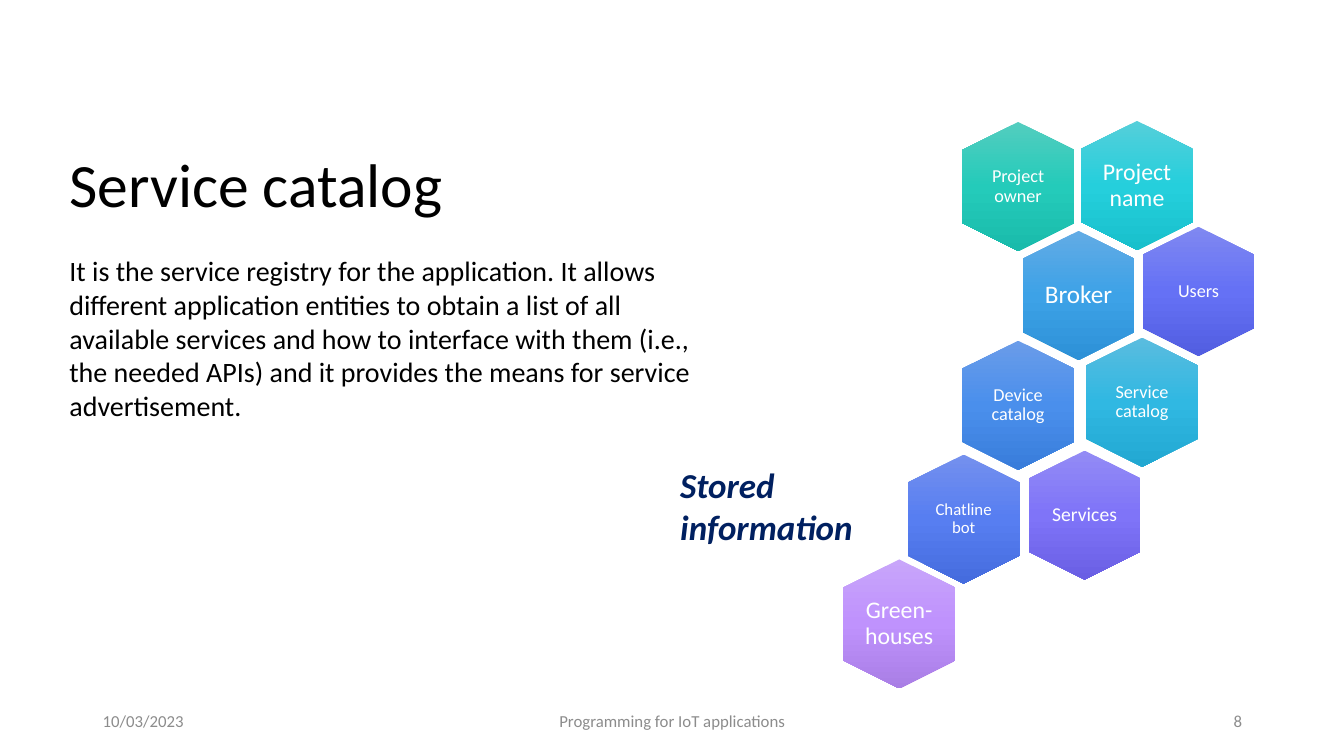
from dataclasses import dataclass

from lxml.etree import SubElement
from pptx import Presentation
from pptx.dml.color import RGBColor
from pptx.enum.shapes import MSO_SHAPE
from pptx.enum.text import MSO_ANCHOR, MSO_AUTO_SIZE, PP_ALIGN
from pptx.oxml.ns import qn
from pptx.util import Inches, Pt


@dataclass(frozen=True)
class Theme:
    font: str = "Calibri"
    ink: str = "000000"
    muted: str = "8C8C8C"
    accent: str = "002060"
    light: str = "FFFFFF"
    title: int = 44
    body: int = 20
    caption: int = 25
    footer: int = 12
    tight: float = 0.9


THEME = Theme()
CELL = 0.1
COLUMNS, ROWS = 133.33, 75
HEXAGON_LENGTH, HEXAGON_BREADTH = 12.8, 11.1
LABEL_WIDTH, LABEL_HEIGHT = 7.7, 8.8

HEXAGONS = [
    ("Project owner", 101, 18.5, 13, ("53CDBF", "24CBBA", "1ABBAB")),
    ("Project name", 112.8, 18.4, 17, ("55CFDA", "25CFDC", "18C0CC")),
    ("Service catalog", 113.3, 39.9, 13, ("5ABCDF", "30B8E2", "22A8D2")),
    ("Broker", 107, 29.3, 18, ("62ABE5", "3DA2E7", "2D91D7")),
    ("Device catalog", 101, 40.2, 13, ("6A9CE9", "4A8FEC", "397DDB")),
    ("Chatline bot", 95.6, 51.5, 12, ("7490EE", "577EF1", "456CDE")),
    ("Users", 118.9, 28.9, 13, ("7F88F1", "6571F5", "525EE1")),
    ("Services", 107.6, 51.1, 14, ("938BF5", "7F74F8", "6A5FE4")),
    ("Green-houses", 89.2, 61.9, 17, ("C8A5FA", "BF92FD", "A97EE5")),
]

FOOTERS = [
    ("10/03/2023", 9.2, 30, PP_ALIGN.LEFT),
    ("Programming for IoT applications", 44.2, 45, PP_ALIGN.CENTER),
    ("8", 94.2, 30, PP_ALIGN.RIGHT),
]


def cells(*counts):
    return [Inches(count * CELL) for count in counts]


def apply_format(target, values):
    for name, value in values.items():
        setattr(target, name, value)


def add_text(slide, text, area, size, color, frame=None, paragraph=None, font=None):
    text_frame = slide.shapes.add_textbox(*cells(*area)).text_frame
    apply_format(text_frame, {"word_wrap": True, **(frame or {})})
    text_paragraph = text_frame.paragraphs[0]
    apply_format(text_paragraph, paragraph or {})
    run = text_paragraph.add_run()
    run.text = text
    apply_format(run.font, {"name": THEME.font, "size": Pt(size), **(font or {})})
    run.font.color.rgb = RGBColor.from_string(color)


def fill_downward(shape, colors):
    shape.fill.gradient()
    gradient = shape.fill._xPr.find(qn("a:gradFill"))
    gradient.set("rotWithShape", "0")
    stops = gradient.find(qn("a:gsLst"))
    for stop in list(stops):
        stops.remove(stop)
    for index, color in enumerate(colors):
        stop = SubElement(stops, qn("a:gs"), pos=str(index * 50000))
        SubElement(stop, qn("a:srgbClr"), val=color)
    gradient.find(qn("a:lin")).set("ang", "5400000")


def add_hexagon(slide, text, column, row, size, colors):
    left, top = column - HEXAGON_LENGTH / 2, row - HEXAGON_BREADTH / 2
    hexagon = slide.shapes.add_shape(
        MSO_SHAPE.HEXAGON, *cells(left, top, HEXAGON_LENGTH, HEXAGON_BREADTH)
    )
    hexagon.rotation = 90
    hexagon.adjustments[0] = 0.25
    hexagon.adjustments[1] = 1.1547
    hexagon.shadow.inherit = False
    hexagon.line.fill.background()
    fill_downward(hexagon, colors)
    margins = dict.fromkeys(
        ("margin_left", "margin_top", "margin_right", "margin_bottom"), 0
    )
    add_text(
        slide,
        text,
        (column - LABEL_WIDTH / 2, row - LABEL_HEIGHT / 2, LABEL_WIDTH, LABEL_HEIGHT),
        size,
        THEME.light,
        frame={"vertical_anchor": MSO_ANCHOR.MIDDLE, **margins},
        paragraph={"alignment": PP_ALIGN.CENTER, "line_spacing": THEME.tight},
    )


def add_footer(slide, text, left, width, alignment):
    add_text(
        slide,
        text,
        (left, 69.5, width, 4),
        THEME.footer,
        THEME.muted,
        frame={"vertical_anchor": MSO_ANCHOR.MIDDLE},
        paragraph={"alignment": alignment},
    )


def main():
    presentation = Presentation()
    width, height = cells(COLUMNS, ROWS)
    apply_format(presentation, {"slide_width": width, "slide_height": height})
    slide = presentation.slides.add_slide(presentation.slide_layouts[6])

    add_text(
        slide,
        "Service catalog",
        (5.9, 11.4, 63.5, 14.5),
        THEME.title,
        THEME.ink,
        frame={"vertical_anchor": MSO_ANCHOR.MIDDLE},
        paragraph={"line_spacing": THEME.tight},
    )
    for footer in FOOTERS:
        add_footer(slide, *footer)
    for hexagon in HEXAGONS:
        add_hexagon(slide, *hexagon)
    add_text(
        slide,
        "Stored information",
        (66.5, 45.5, 22.7, 9.4),
        THEME.caption,
        THEME.accent,
        frame={"auto_size": MSO_AUTO_SIZE.SHAPE_TO_FIT_TEXT},
        font={"bold": True, "italic": True},
    )
    add_text(
        slide,
        "It is the service registry for the application. It allows different "
        "application entities to obtain a list of all available services and how "
        "to interface with them (i.e., the needed APIs) and it provides the means "
        "for service advertisement.",
        (5.9, 24.7, 65.6, 47.6),
        THEME.body,
        THEME.ink,
    )
    presentation.save("out.pptx")


if __name__ == "__main__":
    main()
